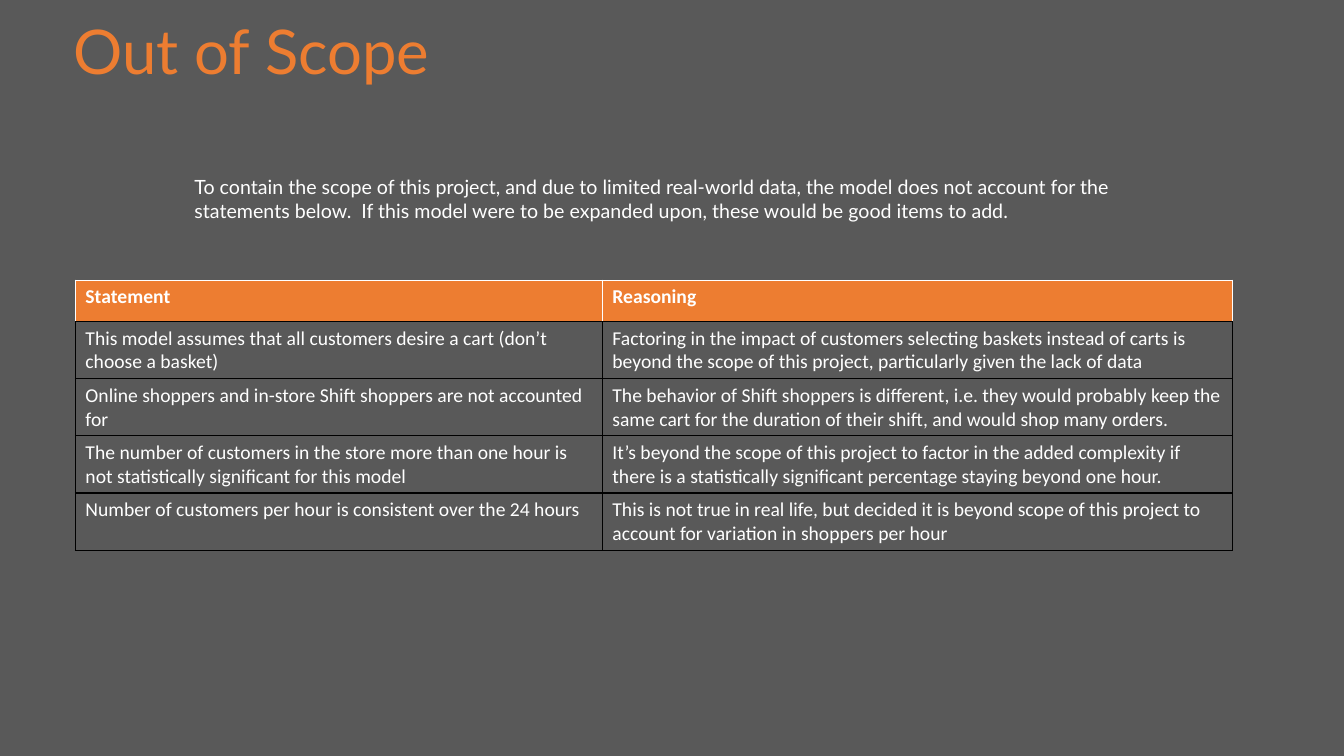
from lxml.etree import SubElement
from pptx import Presentation
from pptx.dml.color import RGBColor
from pptx.enum.text import MSO_ANCHOR, MSO_AUTO_SIZE, PP_ALIGN
from pptx.oxml.ns import qn
from pptx.util import Cm, Pt

HUES = {"back": "595959", "accent": "ED7D31", "text": "FFFFFF", "rule": "000000"}
INTRO = (
    "To contain the scope of this project, and due to limited real-world data, "
    "the model does not account for the statements below.  If this model were to "
    "be expanded upon, these would be good items to add."
)
ROWS = [
    ("Statement", "Reasoning"),
    ("This model assumes that all customers desire a cart (don’t choose a basket)",
     "Factoring in the impact of customers selecting baskets instead of carts is "
     "beyond the scope of this project, particularly given the lack of data"),
    ("Online shoppers and in-store Shift shoppers are not accounted for",
     "The behavior of Shift shoppers is different, i.e. they would probably keep the "
     "same cart for the duration of their shift, and would shop many orders."),
    ("The number of customers in the store more than one hour is not statistically "
     "significant for this model",
     "It’s beyond the scope of this project to factor in the added complexity if "
     "there is a statistically significant percentage staying beyond one hour."),
    ("Number of customers per hour is consistent over the 24 hours",
     "This is not true in real life, but decided it is beyond scope of this project "
     "to account for variation in shoppers per hour"),
]


def assign(item, values):
    """Set each named value on the item."""
    for name, value in values.items():
        setattr(item, name, value)


class Page:
    """Hold the style and the current slide."""

    def __init__(self, deck, hues):
        """Add a slide that has only a title."""
        self.hues = hues
        self.slide = deck.slides.add_slide(deck.slide_layouts[5])
        self.paint(self.slide.background.fill, "back")

    def paint(self, fill, hue):
        """Fill with one named colour."""
        fill.solid()
        fill.fore_color.rgb = RGBColor.from_string(self.hues[hue])

    def label(self, frame, text, hue, form):
        """Put in one left-aligned paragraph."""
        frame.word_wrap = True
        para = frame.paragraphs[0]
        para.alignment = PP_ALIGN.LEFT
        run = para.add_run()
        run.text = text
        assign(run.font, form)
        run.font.color.rgb = RGBColor.from_string(self.hues[hue])
        return para

    def title(self, text, box, form):
        """Place and fill the title."""
        shape = self.slide.shapes.title
        assign(shape, box)
        para = self.label(shape.text_frame, text, "accent", form)
        para.line_spacing = 0.9
        assign(shape.text_frame, {"vertical_anchor": MSO_ANCHOR.MIDDLE,
                                  "auto_size": MSO_AUTO_SIZE.NONE})

    def note(self, text, box, form):
        """Add a text box."""
        frame = self.slide.shapes.add_textbox(*box).text_frame
        self.label(frame, text, "text", form)
        frame.auto_size = MSO_AUTO_SIZE.SHAPE_TO_FIT_TEXT

    def border(self, cell, sides):
        """Draw the sides of a cell in named colours."""
        props = cell._tc.get_or_add_tcPr()
        for side, hue in sides.items():
            line = SubElement(props, qn(f"a:ln{side}"), w=str(Pt(1)))
            fill = SubElement(line, qn("a:solidFill"))
            SubElement(fill, qn("a:srgbClr"), val=self.hues[hue])

    def table(self, rows, left, top, widths, height, form):
        """Add a ruled table with a filled head row."""
        grid = self.slide.shapes.add_table(
            len(rows), len(widths), left, top, sum(widths), height * len(rows)
        ).table
        grid.horz_banding = False
        for col, width in zip(grid.columns, widths):
            col.width = width
        for index, (row, texts) in enumerate(zip(grid.rows, rows)):
            row.height = height
            head = index == 0
            edge = "text" if head else "rule"
            for cell, text in zip(row.cells, texts):
                self.label(cell.text_frame, text, "text", {**form, "bold": head})
                self.border(cell, {"L": edge, "R": edge, "T": edge, "B": "rule"})
                if head:
                    self.paint(cell.fill, "accent")
                else:
                    cell.fill.background()


def main():
    """Build and save the slide."""
    deck = Presentation()
    assign(deck, {"slide_width": Cm(33.87), "slide_height": Cm(19.05)})
    page = Page(deck, HUES)
    page.title("Out of Scope",
               {"left": Cm(1.6), "top": Cm(0.33), "width": Cm(30.63), "height": Cm(2.11)},
               {"name": "Lato", "size": Pt(44)})
    page.note(INTRO, (Cm(4.65), Cm(4.29), Cm(23.65), Cm(1.45)),
              {"name": "Lato", "size": Pt(14)})
    page.table(ROWS, Cm(1.9), Cm(7.06), (Cm(13.28), Cm(15.88)), Cm(1.04),
               {"name": "Calibri", "size": Pt(14)})
    deck.save("out.pptx")


if __name__ == "__main__":
    main()
